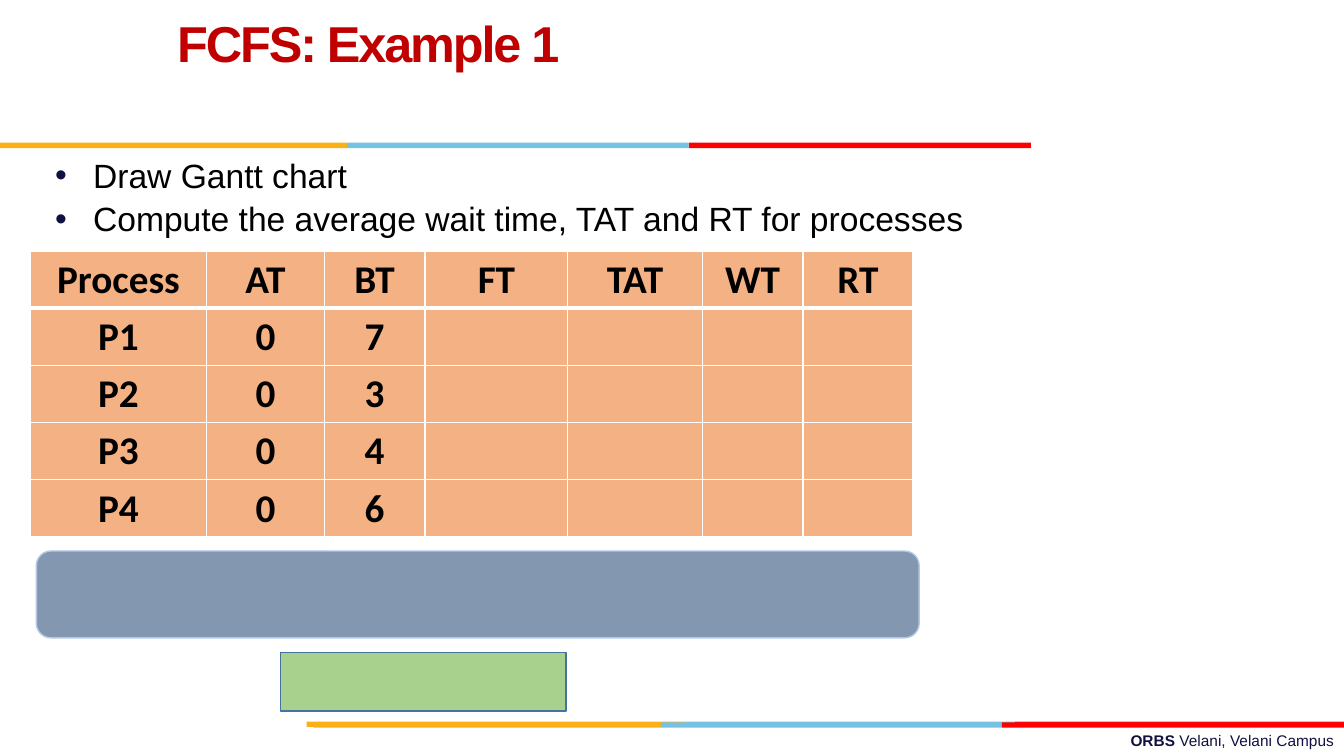
import pptx
import pptx.util
import pptx.dml.color
import pptx.enum.shapes
import pptx.enum.text
import pptx.oxml.ns
from lxml import etree

Pt = pptx.util.Pt
SHAPES = pptx.enum.shapes.MSO_SHAPE
ALIGN = pptx.enum.text.PP_ALIGN
ANCHOR = pptx.enum.text.MSO_ANCHOR

COLOURS = {
    "gold": "FCB017", "sky": "76C2E5", "crimson": "E31C24", "red": "FF0000",
    "navy": "101141", "title": "C00000", "black": "000000", "white": "FFFFFF",
    "cell": "F4B183", "slate": "8497B0", "slate_edge": "B4C7E7",
    "green": "A9D18E", "green_edge": "43739E",
}
COLUMN_WIDTHS = [126, 84, 72, 102, 96, 72, 78.6]
ROW_HEIGHT = 40.8
ROWS = [
    ["Process", "AT", "BT", "FT", "TAT", "WT", "RT"],
    ["P1", "0", "7"],
    ["P2", "0", "3"],
    ["P3", "0", "4"],
    ["P4", "0", "6"],
]


def rgb(name):
    """Return the named colour."""
    return pptx.dml.color.RGBColor.from_string(COLOURS[name])


def add_xml(parent, tag, **attributes):
    """Append a DrawingML element and return it."""
    return etree.SubElement(parent, pptx.oxml.ns.qn(tag), attributes)


def set_values(target, values):
    """Set each attribute in a dict of format values."""
    for name, value in values.items():
        setattr(target, name, value)


def add_span(para, text, colour, **font_values):
    """Add a formatted run to a paragraph."""
    span = para.add_run()
    span.text = text
    set_values(span.font, font_values)
    span.font.color.rgb = rgb(colour)
    return span


def add_box(page, left, top, width, height, anchor=ANCHOR.TOP):
    """Add a wrapping text box and return its text frame."""
    box = page.shapes.add_textbox(Pt(left), Pt(top), Pt(width), Pt(height))
    set_values(box.text_frame, {"word_wrap": True, "vertical_anchor": anchor})
    return box.text_frame


def add_panel(page, kind, left, top, width, height, fill, edge=None):
    """Add a filled shape, with an outline if an edge colour is given."""
    panel = page.shapes.add_shape(kind, Pt(left), Pt(top), Pt(width), Pt(height))
    panel.shadow.inherit = False
    panel.fill.solid()
    panel.fill.fore_color.rgb = rgb(fill)
    if edge:
        panel.line.color.rgb = rgb(edge)
        panel.line.width = Pt(1)
    else:
        panel.line.fill.background()


def add_stripe(page, left, top, segments):
    """Add a thin rule made of coloured segments laid end to end."""
    for colour, width in segments:
        add_panel(page, SHAPES.RECTANGLE, left, top, width, 3.8, colour)
        left += width


def add_bullet(para, text):
    """Fill a paragraph as a bulleted line with a hanging indent."""
    set_values(para, {"line_spacing": 0.9, "space_before": Pt(5.5)})
    properties = para._p.get_or_add_pPr()
    properties.set("marL", str(Pt(27)))
    properties.set("indent", str(-Pt(27)))
    colour = add_xml(properties, "a:buClr")
    add_xml(colour, "a:srgbClr", val=COLOURS["navy"])
    add_xml(properties, "a:buFont", typeface="Arial")
    add_xml(properties, "a:buChar", char="•")
    add_span(para, text, "black", name="Arial", size=Pt(24))


def set_borders(cell, top, bottom):
    """Give a cell white borders; top and bottom are widths in points."""
    properties = cell._tc.get_or_add_tcPr()
    sides = [("L", 1), ("R", 1), ("T", top), ("B", bottom)]
    for position, (side, width) in enumerate(sides):
        line = add_xml(properties, "a:ln" + side, w=str(Pt(width)))
        fill = add_xml(line, "a:solidFill")
        add_xml(fill, "a:srgbClr", val=COLOURS["white"])
        properties.insert(position, line)


def add_process_table(page, left, top):
    """Add the scheduling table with its unanswered columns empty."""
    table = page.shapes.add_table(
        len(ROWS), len(COLUMN_WIDTHS), Pt(left), Pt(top),
        Pt(sum(COLUMN_WIDTHS)), Pt(ROW_HEIGHT * len(ROWS))).table
    for column, width in zip(table.columns, COLUMN_WIDTHS):
        column.width = Pt(width)
    for index, values in enumerate(ROWS):
        table.rows[index].height = Pt(ROW_HEIGHT)
        for cell in table.rows[index].cells:
            cell.fill.solid()
            cell.fill.fore_color.rgb = rgb("cell")
            set_borders(cell, 3 if index == 1 else 1, 3 if index == 0 else 1)
        for cell, value in zip(table.rows[index].cells, values):
            para = cell.text_frame.paragraphs[0]
            para.alignment = ALIGN.CENTER
            add_span(para, value, "black", name="Calibri", size=Pt(28), bold=True)


def add_footer(page):
    """Add the campus line and the stripes above it."""
    para = add_box(page, 344, 519, 616, 21).paragraphs[0]
    para.alignment = ALIGN.RIGHT
    for text, bold in [("ORBS ", True), ("Velani, Velani Campus", False)]:
        add_span(para, text, "navy", name="Arial", size=Pt(11), bold=bold)
    add_stripe(page, 219, 515.4, [("gold", 270.6), ("sky", 235.4), ("crimson", 235)])
    add_stripe(page, 224, 516, [("gold", 248), ("sky", 243.6), ("red", 244.4)])


def add_title(page, text):
    """Add the slide title."""
    para = add_box(page, 119.5, 2, 570, 64, ANCHOR.MIDDLE).paragraphs[0]
    para.line_spacing = Pt(36)
    span = add_span(para, text, "title", name="Arial", size=Pt(36), bold=True)
    span.font._element.set("spc", "-150")


def main():
    """Build the slide and save it."""
    deck = pptx.Presentation()
    set_values(deck, {"slide_width": Pt(960), "slide_height": Pt(540)})
    page = deck.slides.add_slide(deck.slide_layouts[6])
    add_footer(page)
    add_stripe(page, 0, 102, [("gold", 248), ("sky", 244), ("red", 244.4)])
    tasks = add_box(page, 32.4, 110, 720, 68)
    add_bullet(tasks.paragraphs[0], "Draw Gantt chart")
    add_bullet(tasks.add_paragraph(),
               "Compute the average wait time, TAT and RT for processes")
    add_title(page, "FCFS: Example 1")
    add_process_table(page, 21.6, 179.3)
    add_panel(page, SHAPES.ROUNDED_RECTANGLE, 26, 393.6, 630.6, 62,
              "slate", "slate_edge")
    add_panel(page, SHAPES.RECTANGLE, 200.2, 466, 204, 42, "green", "green_edge")
    deck.save("out.pptx")


main()
